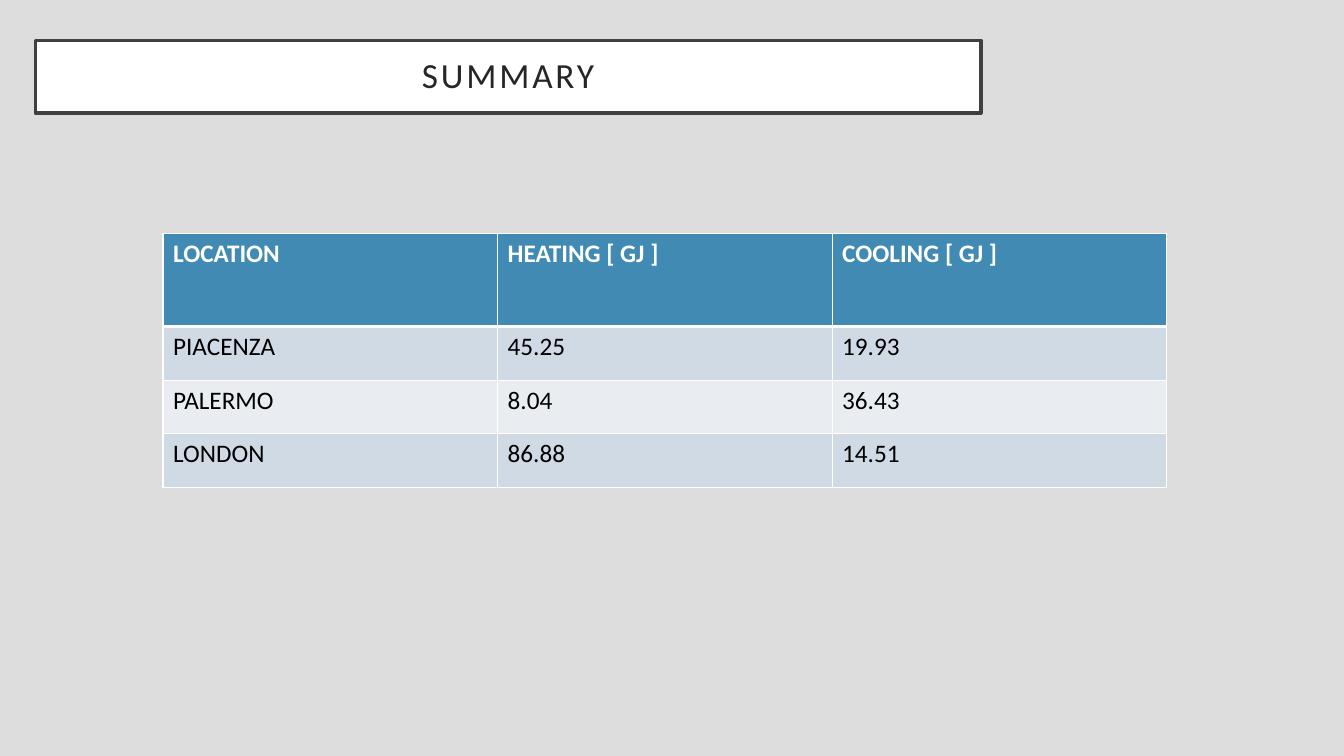
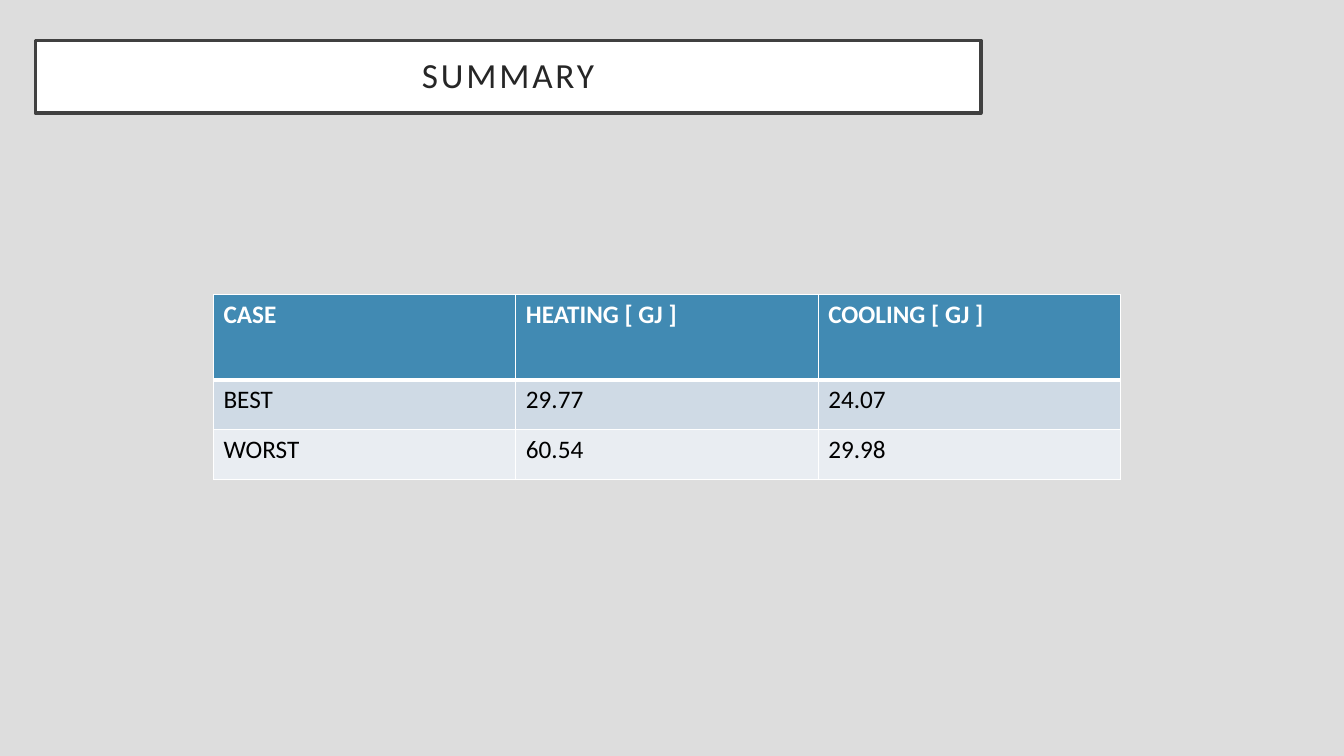
from lxml.etree import SubElement as Sub
from pptx import Presentation
from pptx.dml.color import RGBColor as RGB
from pptx.enum.text import MSO_ANCHOR as Anchor, MSO_AUTO_SIZE as Auto, PP_ALIGN as Align
from pptx.oxml.ns import qn
from pptx.util import Cm, Pt

FONT = "Calibri"
BACK = RGB(0xDD, 0xDD, 0xDD)
WHITE = RGB(0xFF, 0xFF, 0xFF)
BLACK = RGB(0, 0, 0)
FRAME = RGB(0x40, 0x40, 0x40)
INK = RGB(0x26, 0x26, 0x26)
BLUE = RGB(0x41, 0x8A, 0xB3)
BANDS = RGB(0xE9, 0xED, 0xF2), RGB(0xCF, 0xDA, 0xE5)

TITLE = "SUMMARY"
UNITS = ("HEATING [ GJ ]", "COOLING [ GJ ]")
SLIDES = [
    {
        "left": 4.11, "top": 5.89, "col": 8.43, "head": 2.34, "row": 1.35,
        "rows": [
            ("LOCATION", *UNITS),
            ("PIACENZA", "45.25", "19.93"),
            ("PALERMO", "8.04", "36.43"),
            ("LONDON", "86.88", "14.51"),
        ],
    },
    {
        "left": 5.38, "top": 7.42, "col": 7.62, "head": 2.15, "row": 1.26,
        "rows": [
            ("CASE", *UNITS),
            ("BEST", "29.77", "24.07"),
            ("WORST", "60.54", "29.98"),
        ],
    },
]


def style(font, size, color, bold=False):
    font.name, font.size, font.bold = FONT, Pt(size), bold
    font.color.rgb = color


def add_title(slide):
    box = slide.shapes.title
    box.left, box.top, box.width, box.height = Cm(0.89), Cm(1.02), Cm(23.83), Cm(1.83)
    box.fill.solid()
    box.fill.fore_color.rgb = WHITE
    box.line.color.rgb = FRAME
    box.line.width = Pt(2.5)
    frame = box.text_frame
    frame.text = TITLE
    frame.word_wrap = True
    frame.auto_size = Auto.NONE
    frame.vertical_anchor = Anchor.MIDDLE
    frame.margin_left = frame.margin_right = Cm(0.51)
    frame.margin_top = frame.margin_bottom = Cm(0.51)
    para = frame.paragraphs[0]
    para.alignment = Align.CENTER
    para.line_spacing = 0.9
    style(para.font, 25.2, INK)
    para.runs[0]._r.get_or_add_rPr().set("spc", "200")


def add_edges(cell, top, bottom):
    props = cell._tc.get_or_add_tcPr()
    for side, width in (("L", 1), ("R", 1), ("T", top), ("B", bottom)):
        line = Sub(props, qn(f"a:ln{side}"), w=str(Pt(width)))
        fill = Sub(line, qn("a:solidFill"))
        Sub(fill, qn("a:srgbClr"), val=str(WHITE))


def add_grid(slide, left, top, col, head, row, rows):
    count, wide = len(rows), len(rows[0])
    high = head + row * (count - 1)
    table = slide.shapes.add_table(
        count, wide, Cm(left), Cm(top), Cm(col * wide), Cm(high)).table
    table.horz_banding = False
    for column in table.columns:
        column.width = Cm(col)
    for r, texts in enumerate(rows):
        first = r == 0
        table.rows[r].height = Cm(head if first else row)
        for c, text in enumerate(texts):
            cell = table.cell(r, c)
            add_edges(cell, 3 if r == 1 else 1, 3 if first else 1)
            cell.fill.solid()
            cell.fill.fore_color.rgb = BLUE if first else BANDS[r % 2]
            cell.text = text
            para = cell.text_frame.paragraphs[0]
            style(para.font, 18, WHITE if first else BLACK, first)


def main():
    deck = Presentation()
    deck.slide_width, deck.slide_height = Cm(33.87), Cm(19.05)
    back = deck.slide_master.background.fill
    back.solid()
    back.fore_color.rgb = BACK
    for data in SLIDES:
        slide = deck.slides.add_slide(deck.slide_layouts[5])
        add_title(slide)
        add_grid(slide, **data)
    deck.save("out.pptx")


if __name__ == "__main__":
    main()
